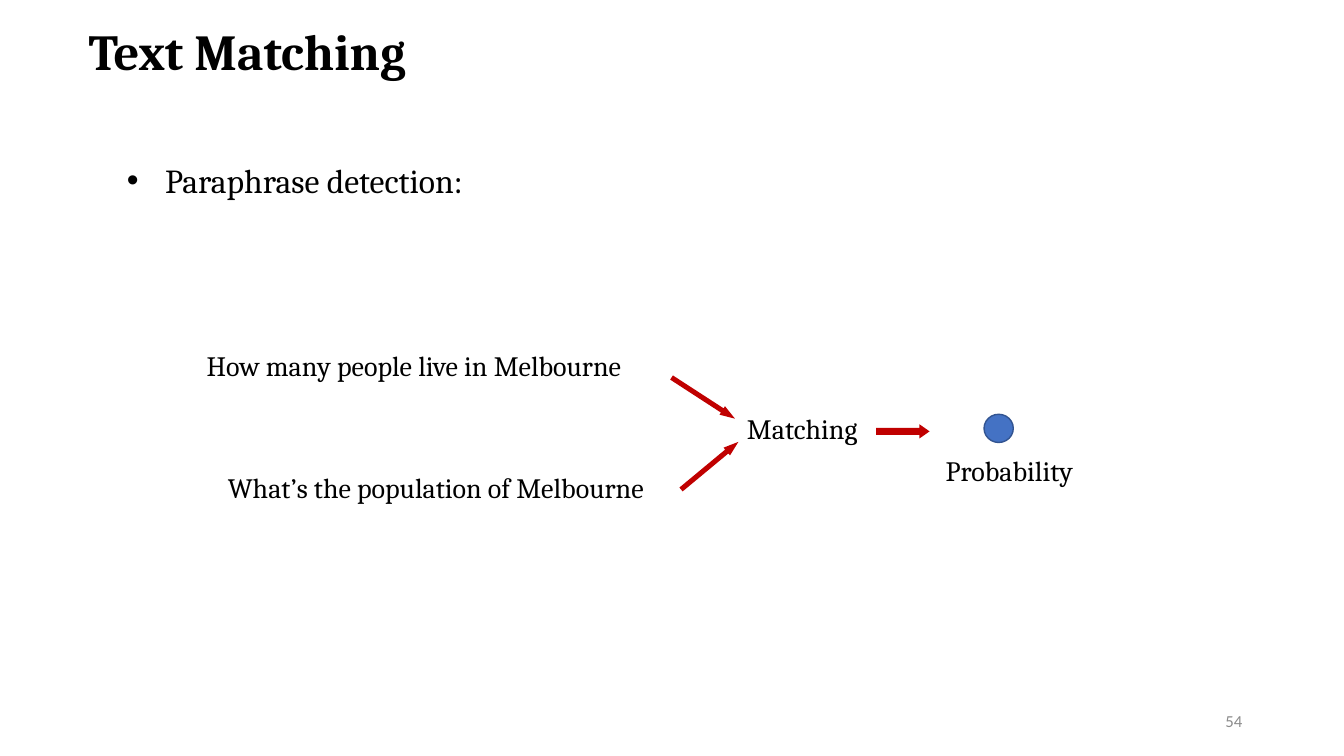
import dataclasses

import lxml.etree
import pptx
import pptx.dml.color
import pptx.enum.shapes
import pptx.enum.text
import pptx.oxml.ns
import pptx.shapes.autoshape
import pptx.slide
import pptx.util

Inches = pptx.util.Inches
Align = pptx.enum.text.PP_ALIGN
Anchor = pptx.enum.text.MSO_ANCHOR
AutoSize = pptx.enum.text.MSO_AUTO_SIZE


@dataclasses.dataclass(frozen=True)
class Theme:
    text_font: str = "Cambria"
    number_font: str = "Calibri"
    black: str = "000000"
    gray: str = "8C8C8C"
    arrow: str = "C00000"
    node_fill: str = "4472C4"
    node_line: str = "325491"
    title_size: float = 36
    bullet_size: float = 24
    label_size: float = 20
    number_size: float = 12


THEME = Theme()


@dataclasses.dataclass(frozen=True)
class Label:
    text: str
    left: float
    top: float
    width: float
    height: float
    size: float = THEME.label_size
    font: str = THEME.text_font
    color: str = THEME.black
    bold: bool = False
    bullet: bool = False
    inset: bool = True
    wrap: bool = True
    grow: bool = True
    align: Align = Align.LEFT
    anchor: Anchor = Anchor.TOP


@dataclasses.dataclass(frozen=True)
class Arrow:
    left: float
    top: float
    length: float
    width: float
    shaft: float
    head: float
    rotation: float = 0


LABELS = (
    Label("54", 9.42, 6.95, 3, 0.4, THEME.number_size, THEME.number_font, THEME.gray,
          grow=False, align=Align.RIGHT, anchor=Anchor.MIDDLE),
    Label("Text Matching", 0.78, 0.15, 8.51, 0.71, THEME.title_size, bold=True),
    Label("Paraphrase detection:", 1.16, 1.54, 10.16, 0.5, THEME.bullet_size, bullet=True),
    Label("How many people live in Melbourne", 2.05, 3.45, 4.68, 0.35, inset=False),
    Label("What’s the population of Melbourne", 2.26, 4.66, 5.7, 0.35, inset=False),
    Label("Probability", 9.38, 4.49, 1.61, 0.35, inset=False),
    Label("Matching", 7.31, 4.03, 1.39, 0.44, wrap=False),
)

ARROWS = (
    Arrow(8.69, 4.21, 0.53, 0.14, shaft=0.07, head=0.1),
    Arrow(6.6, 3.9, 0.75, 0.1, shaft=0.05, head=0.15, rotation=33),
    Arrow(6.67, 4.57, 0.74, 0.1, shaft=0.05, head=0.15, rotation=320.3),
)


def rgb(color: str) -> pptx.dml.color.RGBColor:
    return pptx.dml.color.RGBColor.from_string(color)


def add_label(slide: pptx.slide.Slide, label: Label) -> None:
    box = slide.shapes.add_textbox(
        Inches(label.left), Inches(label.top), Inches(label.width), Inches(label.height)
    )
    frame = box.text_frame
    frame.word_wrap = label.wrap
    frame.vertical_anchor = label.anchor
    frame.auto_size = AutoSize.SHAPE_TO_FIT_TEXT if label.grow else AutoSize.NONE
    if not label.inset:
        frame.margin_left = frame.margin_right = frame.margin_bottom = 0
        frame.margin_top = Inches(0.01)
    paragraph = frame.paragraphs[0]
    paragraph.alignment = label.align
    if label.bullet:
        properties = paragraph._p.get_or_add_pPr()
        properties.set("marL", str(Inches(0.38)))
        properties.set("indent", str(Inches(-0.38)))
        qualified = pptx.oxml.ns.qn
        lxml.etree.SubElement(properties, qualified("a:buFont"), typeface="Arial")
        lxml.etree.SubElement(properties, qualified("a:buChar"), char="•")
    run = paragraph.add_run()
    run.text = label.text
    run.font.name = label.font
    run.font.size = pptx.util.Pt(label.size)
    run.font.bold = label.bold
    run.font.color.rgb = rgb(label.color)


def add_arrow(slide: pptx.slide.Slide, arrow: Arrow) -> pptx.shapes.autoshape.Shape:
    """Outline a right-pointing block arrow, then turn it about its centre."""
    neck = arrow.left + arrow.length - arrow.head
    middle = arrow.top + arrow.width / 2
    shaft_top, shaft_bottom = middle - arrow.shaft / 2, middle + arrow.shaft / 2
    outline = (
        (neck, shaft_top),
        (neck, arrow.top),
        (arrow.left + arrow.length, middle),
        (neck, arrow.top + arrow.width),
        (neck, shaft_bottom),
        (arrow.left, shaft_bottom),
    )
    builder = slide.shapes.build_freeform(Inches(arrow.left), Inches(shaft_top))
    builder.add_line_segments([(Inches(x), Inches(y)) for x, y in outline], close=True)
    shape = builder.convert_to_shape()
    shape.rotation = arrow.rotation
    shape.shadow.inherit = False
    shape.fill.solid()
    shape.fill.fore_color.rgb = rgb(THEME.arrow)
    shape.line.fill.background()
    return shape


def add_probability_node(slide: pptx.slide.Slide) -> None:
    node = slide.shapes.add_shape(
        pptx.enum.shapes.MSO_SHAPE.OVAL, Inches(9.76), Inches(4.11), Inches(0.29), Inches(0.28)
    )
    node.shadow.inherit = False
    node.fill.solid()
    node.fill.fore_color.rgb = rgb(THEME.node_fill)
    node.line.color.rgb = rgb(THEME.node_line)
    node.line.width = pptx.util.Pt(1)


def main() -> None:
    presentation = pptx.Presentation()
    presentation.slide_width = Inches(13.33)
    presentation.slide_height = Inches(7.5)
    slide = presentation.slides.add_slide(presentation.slide_layouts[6])
    for label in LABELS:
        add_label(slide, label)
    for arrow in ARROWS:
        add_arrow(slide, arrow)
    add_probability_node(slide)
    presentation.save("out.pptx")


if __name__ == "__main__":
    main()
